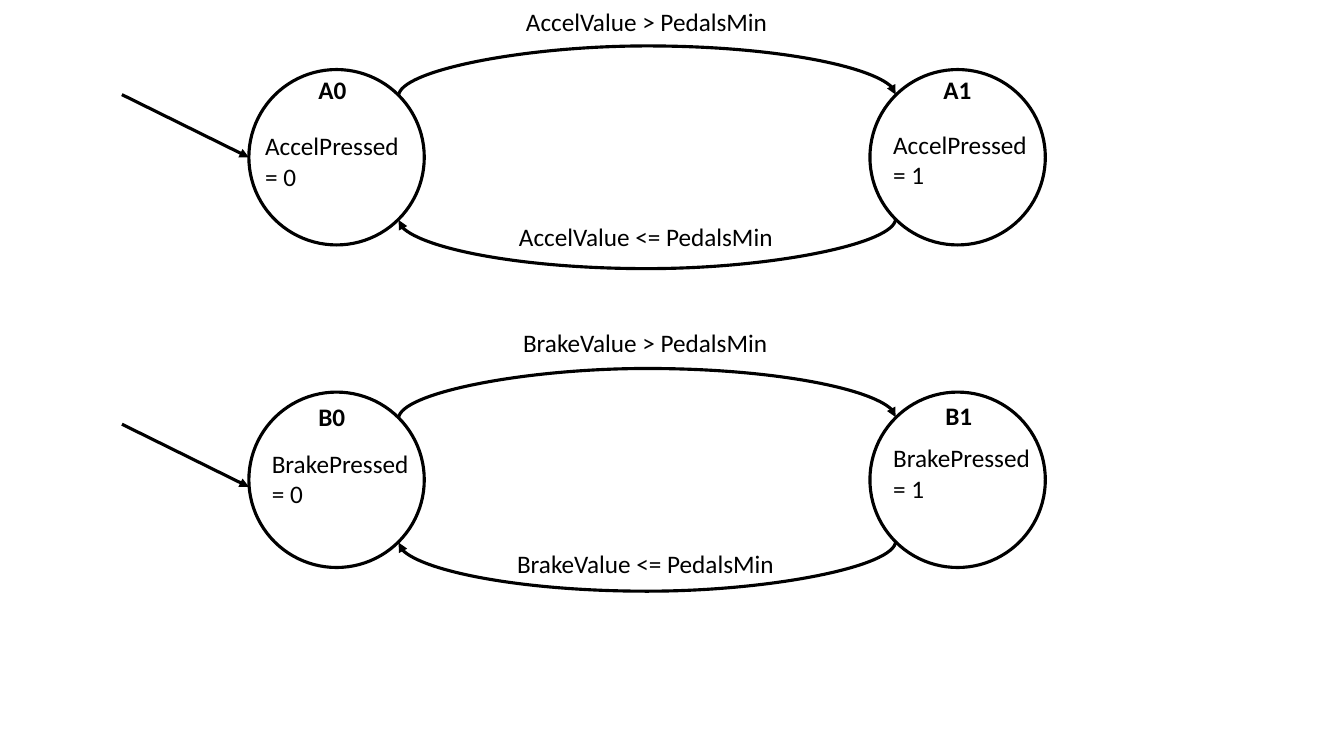
import pptx
import pptx.util
from pptx.dml.color import RGBColor
from pptx.enum.shapes import MSO_CONNECTOR, MSO_SHAPE
from pptx.enum.text import MSO_AUTO_SIZE
from pptx.oxml.ns import qn
from lxml import etree

Pt = pptx.util.Pt
COLORS = {"ink": "000000"}
INK = RGBColor.from_string(COLORS["ink"])
LABEL_FORMAT = {"name": "Calibri", "size": Pt(18), "bold": None}
STATE_FORMAT = {**LABEL_FORMAT, "bold": True}

STATE_SIZE = 125.3
LEFT_STATE, RIGHT_STATE = 177.8, 621.4
CORNER = 18.35  # inset of the 45 degree point of a state circle
BEND = 36       # how far a transition bows outwards
LABEL_HEIGHT = 29

# Each machine: top of its circles, start of its entry arrow and height of the arrow,
# then labels as (text, left, top, width)
MACHINES = [
    {
        "top": 49.7,
        "entry": 67.6,
        "transitions": [("AccelValue > PedalsMin", 368.6, 0.8, 188.6),
                        ("AccelValue <= PedalsMin", 363.6, 154.4, 198)],
        "states": [("A0", 220.3, 49.4, 34.6), ("A1", 666.7, 49.4, 34.6)],
        "outputs": [("AccelPressed = 0", 182.3, 89.8, 116),
                    ("AccelPressed = 1", 630.9, 88.6, 116)],
    },
    {
        "top": 280.1,
        "entry": 303,
        "transitions": [("BrakeValue > PedalsMin", 366.5, 230.2, 190.8),
                        ("BrakeValue <= PedalsMin", 362.2, 388.3, 200.2)],
        "states": [("B0", 220.3, 282.8, 33.8), ("B1", 668.2, 282.2, 33.8)],
        "outputs": [("BrakePressed = 0", 187.1, 316.8, 116),
                    ("BrakePressed = 1", 630.9, 312.7, 116)],
    },
]


def add_state(slide, left, top):
    circle = slide.shapes.add_shape(
        MSO_SHAPE.OVAL, Pt(left), Pt(top), Pt(STATE_SIZE), Pt(STATE_SIZE))
    circle.shadow.inherit = False
    circle.fill.background()
    circle.line.color.rgb = INK
    circle.line.width = Pt(2.25)


def add_arrow(slide, kind, begin, end):
    arrow = slide.shapes.add_connector(kind, *map(Pt, begin + end))
    arrow.line.color.rgb = INK
    arrow.line.width = Pt(2.25)
    properties = arrow._element.spPr
    etree.SubElement(properties.find(qn("a:ln")), qn("a:tailEnd"), type="triangle")
    etree.SubElement(properties, qn("a:effectLst"))
    return arrow


def add_transition(slide, top, direction):
    """Bow between the two states; direction is 1 for upper rightward, -1 for lower leftward."""
    begin_x = LEFT_STATE + STATE_SIZE - CORNER
    end_x = RIGHT_STATE + CORNER
    middle = (begin_x + end_x) / 2
    reach = direction * (end_x - begin_x) / 2
    y = top + (CORNER if direction == 1 else STATE_SIZE - CORNER)
    # The frame is upright and one point wide, then turned a quarter
    half = direction * 0.5
    arrow = add_arrow(slide, MSO_CONNECTOR.CURVE,
                      (middle + half, y + reach), (middle - half, y - reach))
    properties = arrow._element.spPr
    properties.find(qn("a:xfrm")).set("rot", "5400000")
    adjustments = properties.find(qn("a:prstGeom")).find(qn("a:avLst"))
    etree.SubElement(adjustments, qn("a:gd"), name="adj1", fmla=f"val {BEND * 100000}")


def add_label(slide, text, left, top, width, font_format, wrap=False):
    height = LABEL_HEIGHT if not wrap else 51
    box = slide.shapes.add_textbox(Pt(left), Pt(top), Pt(width), Pt(height))
    frame = box.text_frame
    frame.word_wrap = wrap
    frame.auto_size = MSO_AUTO_SIZE.SHAPE_TO_FIT_TEXT
    run = frame.paragraphs[0].add_run()
    run.text = text
    run.font.color.rgb = INK
    for name, value in font_format.items():
        setattr(run.font, name, value)


def add_machine(slide, machine):
    top, entry = machine["top"], machine["entry"]
    for left in (LEFT_STATE, RIGHT_STATE):
        add_state(slide, left, top)
    for direction in (1, -1):
        add_transition(slide, top, direction)
    add_arrow(slide, MSO_CONNECTOR.STRAIGHT, (87.1, entry), (LEFT_STATE, entry + 44.8))
    for label in machine["transitions"]:
        add_label(slide, *label, LABEL_FORMAT)
    for label in machine["states"]:
        add_label(slide, *label, STATE_FORMAT)
    for label in machine["outputs"]:
        add_label(slide, *label, LABEL_FORMAT, wrap=True)


def main():
    presentation = pptx.Presentation()
    presentation.slide_width, presentation.slide_height = Pt(960), Pt(540)
    slide = presentation.slides.add_slide(presentation.slide_layouts[6])
    for machine in MACHINES:
        add_machine(slide, machine)
    presentation.save("out.pptx")


if __name__ == "__main__":
    main()
